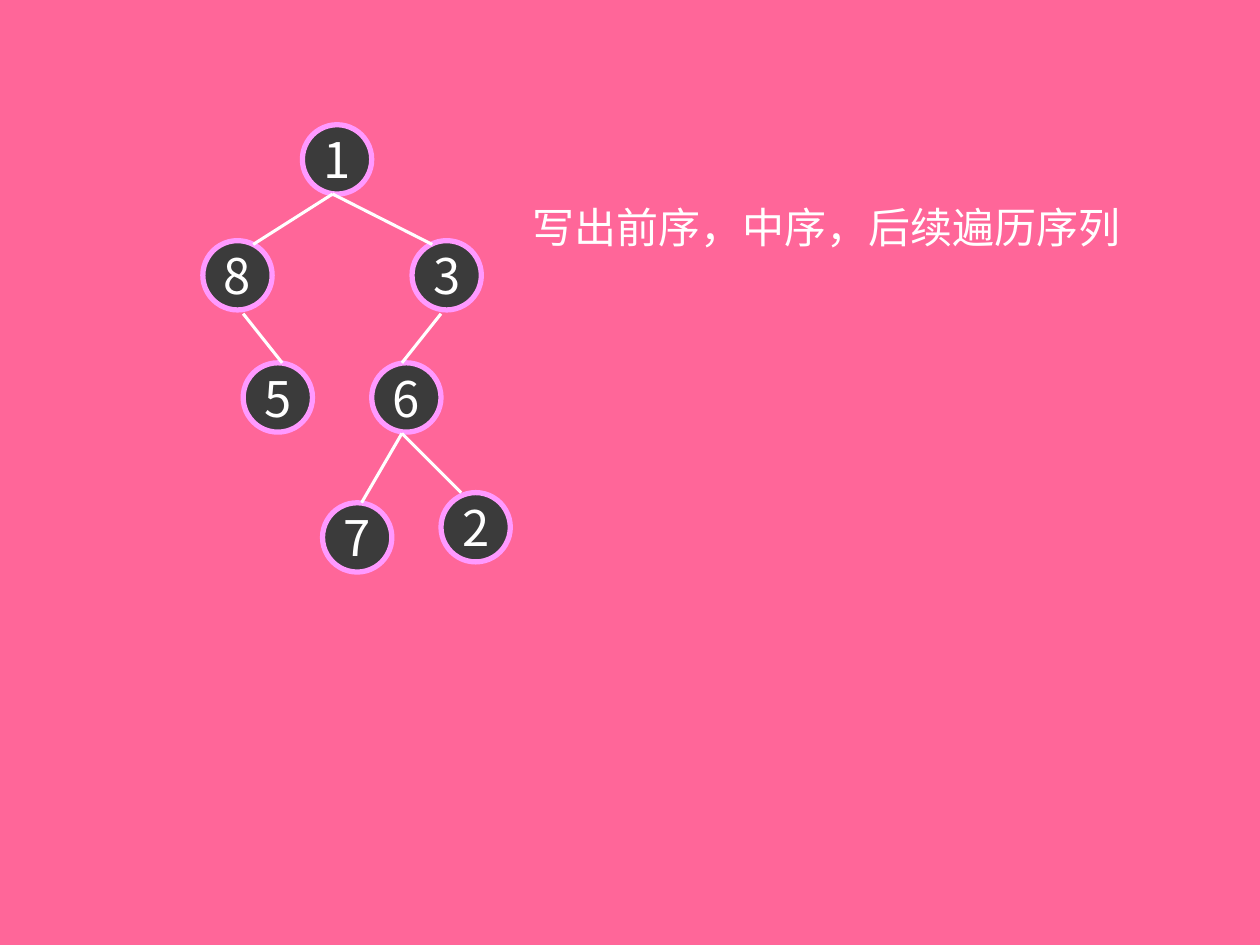
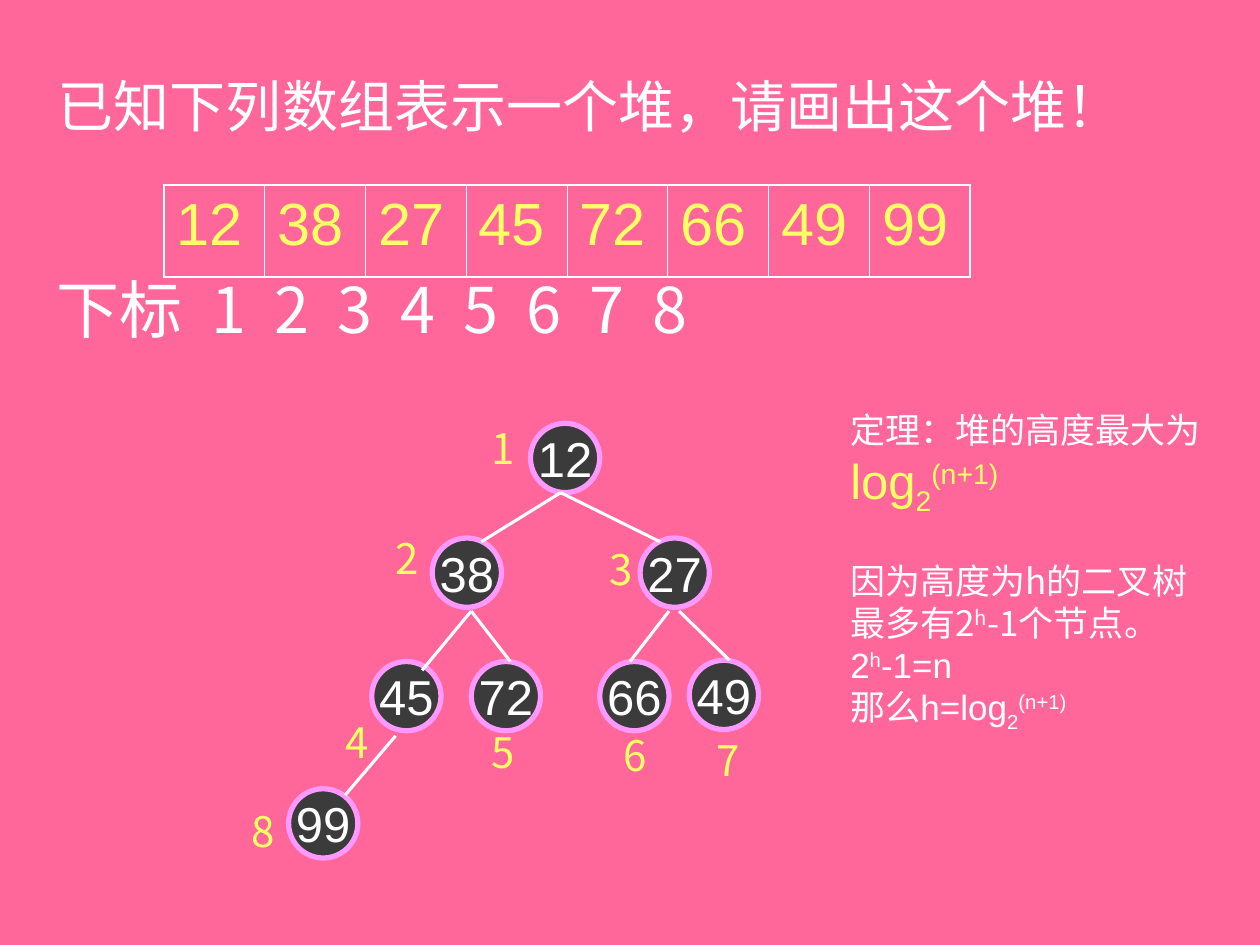
from lxml.etree import SubElement
from pptx import Presentation
from pptx.dml.color import RGBColor as RGB
from pptx.enum.shapes import MSO_CONNECTOR as LINK, MSO_SHAPE as SHAPE
from pptx.enum.text import MSO_ANCHOR as ANCHOR, MSO_AUTO_SIZE as AUTO, PP_ALIGN as ALIGN
from pptx.oxml.ns import qn
from pptx.util import Pt

PX = 9144
PINK = RGB(0xFF, 0x66, 0x99)
DARK = RGB(0x3B, 0x3B, 0x3B)
LILAC = RGB(0xFF, 0x99, 0xFF)
WHITE = RGB(0xFF, 0xFF, 0xFF)
YELLOW = RGB(0xFF, 0xFF, 0x66)
SANS = "Noto Sans CJK SC"
MONO = "Noto Sans CJK JP"
ARIAL = "Arial"
DISC = 55


def px(*nums):
    return [num * PX for num in nums]


def style(para, size, color, face=SANS, align=ALIGN.LEFT):
    para.alignment = align
    font = para.font
    font.size = Pt(size)
    font.color.rgb = color
    font.name = face
    base = para._p.pPr.find(qn("a:defRPr"))
    SubElement(base, qn("a:ea"), typeface=SANS if face == ARIAL else face)


deck = Presentation()
deck.slide_width, deck.slide_height = px(1000, 750)
fill = deck.slide_master.background.fill
fill.solid()
fill.fore_color.rgb = PINK

walk = {
    "title": ("写出前序，中序，后续遍历序列", 24, (413, 155, 536, 50)),
    "face": MONO,
    "nodes": [
        ("1", 240, 99), ("8", 161, 191), ("3", 327, 191), ("5", 193, 288),
        ("6", 295, 288), ("2", 350, 391), ("7", 256, 399),
    ],
    "edges": [
        (264, 154, 201, 194), (264, 154, 343, 194), (350, 249, 319, 288),
        (319, 344, 366, 391), (193, 249, 224, 288), (319, 344, 287, 399),
    ],
}
heap = {
    "title": ("已知下列数组表示一个堆，请画出这个堆！", 32, (36, 52, 890, 64)),
    "face": ARIAL,
    "nodes": [
        ("12", 421, 336), ("38", 343, 427), ("27", 508, 427), ("45", 295, 525),
        ("72", 374, 525), ("66", 476, 525), ("49", 547, 524), ("99", 229, 626),
    ],
    "edges": [
        (445, 391, 382, 430), (445, 391, 524, 430), (531, 485, 500, 525),
        (539, 485, 579, 524), (374, 485, 405, 525), (374, 485, 335, 532),
        (314, 584, 274, 631),
    ],
}

for tree in (walk, heap):
    slide = deck.slides.add_slide(deck.slide_layouts[5])
    text, size, area = tree["title"]
    title = slide.shapes.title
    title.left, title.top, title.width, title.height = px(*area)
    frame = title.text_frame
    frame.text = text
    frame.word_wrap = True
    frame.auto_size = AUTO.NONE
    frame.vertical_anchor = ANCHOR.TOP
    style(frame.paragraphs[0], size, WHITE)

    group = slide.shapes.add_group_shape().shapes
    for text, left, top in tree["nodes"]:
        node = group.add_shape(SHAPE.OVAL, *px(left, top, DISC, DISC))
        node.shadow.inherit = False
        node.fill.solid()
        node.fill.fore_color.rgb = DARK
        node.line.color.rgb = LILAC
        node.line.width = Pt(3)
        frame = node.text_frame
        frame.text = text
        frame.word_wrap = False
        frame.vertical_anchor = ANCHOR.MIDDLE
        style(frame.paragraphs[0], 28, WHITE, tree["face"], ALIGN.CENTER)
    for ends in tree["edges"]:
        edge = group.add_connector(LINK.STRAIGHT, *px(*ends))
        edge.line.color.rgb = WHITE
        edge.line.width = Pt(1.75)
        SubElement(edge._element.spPr, qn("a:effectLst"))

shapes = slide.shapes
items = [12, 38, 27, 45, 72, 66, 49, 99]
table = shapes.add_table(1, len(items), *px(130, 147, 640, 73)).table
table.first_row = False
table.horz_banding = False
for col, item in enumerate(items):
    cell = table.cell(0, col)
    cell.text = str(item)
    style(cell.text_frame.paragraphs[0], 34, YELLOW, ARIAL)
    outer = {"T", "B"}
    if col == 0:
        outer.add("L")
    if col == len(items) - 1:
        outer.add("R")
    props = cell._tc.get_or_add_tcPr()
    for side in "LRTB":
        width = Pt(1.08 if side in outer else 0.45)
        rule = SubElement(props, qn(f"a:ln{side}"), w=str(width))
        solid = SubElement(rule, qn("a:solidFill"))
        SubElement(solid, qn("a:srgbClr"), val=str(WHITE))
    cell.fill.background()

count = range(1, len(items) + 1)
frame = shapes.add_textbox(*px(35, 210, 772, 130)).text_frame
frame.word_wrap = True
para = frame.paragraphs[0]
para.text = "\t".join(["下标", *map(str, count)])
stops = SubElement(para._p.get_or_add_pPr(), qn("a:tabLst"))
for num in count:
    SubElement(stops, qn("a:tab"), pos=str((87 + 50 * num) * PX), algn="ctr")
style(para, 36, WHITE)

spots = [
    (380, 330), (304, 418), (474, 426), (264, 564),
    (380, 572), (485, 574), (559, 578), (190, 634),
]
for num, (left, top) in zip(count, spots):
    frame = shapes.add_textbox(*px(left, top, 36, 50)).text_frame
    frame.text = str(num)
    frame.word_wrap = False
    frame.vertical_anchor = ANCHOR.MIDDLE
    style(frame.paragraphs[0], 24, YELLOW, SANS, ALIGN.CENTER)

SUB, SUP = -25000, 30000
proof = [
    (SANS, 0, [("定理：堆的高度最大为", 0), ("log", 0), ("2", SUB), ("(n+1)", SUP)]),
    (SANS, 24, [("因为高度为h的二叉树最多有2", 0), ("h", SUP), ("-1个节点。", 0)]),
    (ARIAL, 0, [("2", 0), ("h", SUP), ("-1=n", 0)]),
    (ARIAL, 0, [("那么h=log", 0), ("2", SUB), ("(n+1)", SUP)]),
]
frame = shapes.add_textbox(*px(665, 319, 307, 268)).text_frame
frame.word_wrap = True
frame.vertical_anchor = ANCHOR.MIDDLE
for row, (face, gap, parts) in enumerate(proof):
    para = frame.add_paragraph() if row else frame.paragraphs[0]
    if gap:
        para.space_before = Pt(gap)
    style(para, 20, WHITE, face)
    for text, shift in parts:
        run = para.add_run()
        run.text = text
        if shift:
            run._r.get_or_add_rPr().set("baseline", str(shift))
for run in frame.paragraphs[0].runs[1:]:
    run.font.size = Pt(28)
    run.font.name = ARIAL
    run.font.color.rgb = YELLOW

deck.save("out.pptx")
